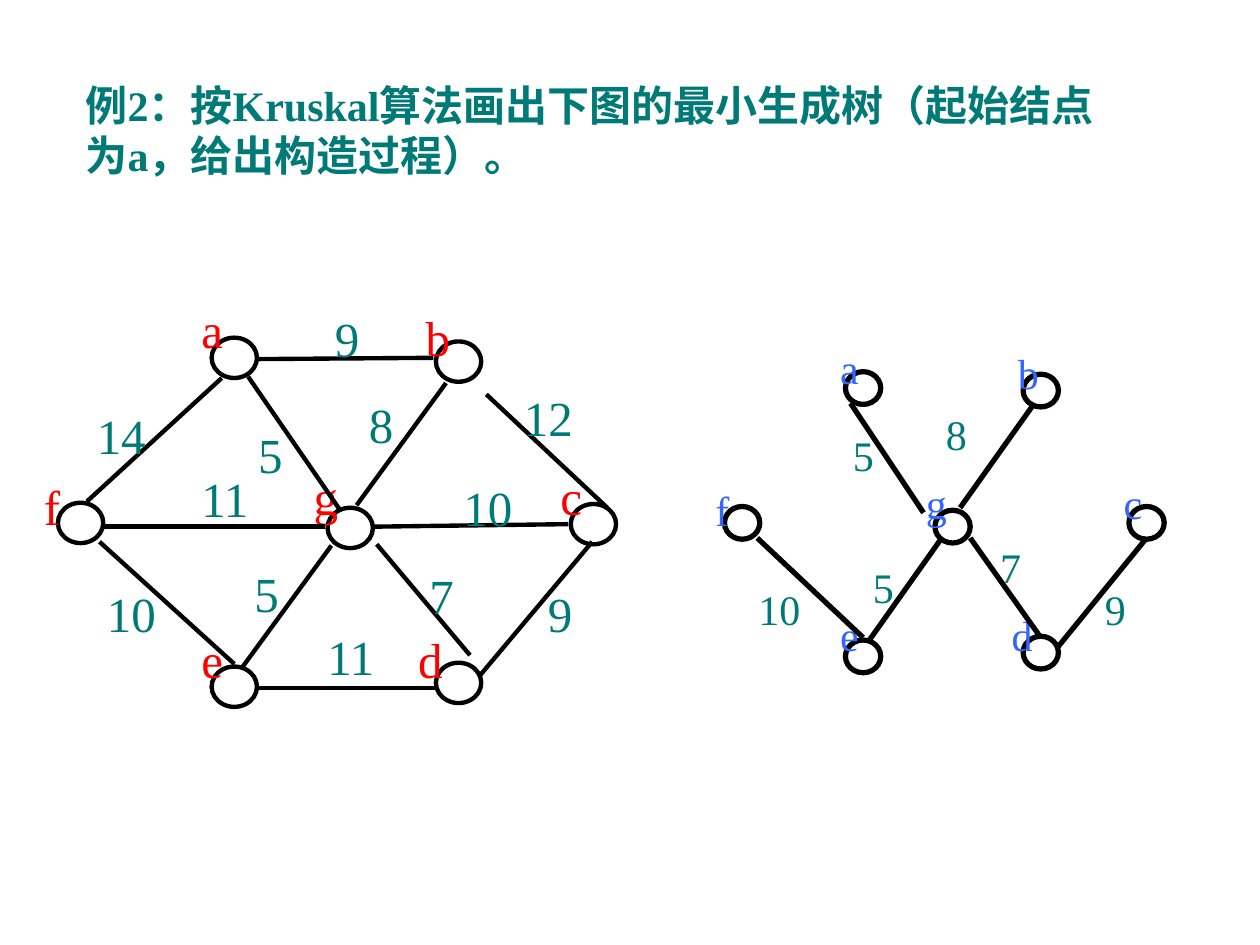
from dataclasses import dataclass

from lxml import etree
from pptx import Presentation
from pptx import util as u
from pptx.dml.color import RGBColor
from pptx.enum import shapes, text
from pptx.oxml.ns import qn


@dataclass(frozen=True)
class Theme:
    font: str = "Times New Roman"
    teal: str = "007A77"
    red: str = "FF0000"
    blue: str = "3366FF"
    black: str = "000000"
    white: str = "FFFFFF"
    question_size: int = 24
    graph_size: int = 28
    tree_size: int = 24


@dataclass(frozen=True)
class Node:
    name: str
    col: float
    row: float
    label_col: float
    label_row: float


@dataclass(frozen=True)
class Edge:
    start: tuple[float, float]
    end: tuple[float, float]
    weight: str
    label: tuple[float, float]


@dataclass(frozen=True)
class Graph:
    nodes: list[Node]
    edges: list[Edge]
    node_size: tuple[float, float]
    line_width: float
    text_size: int
    name_color: str


THEME = Theme()
COLUMNS, ROWS = 100, 75
LABEL_SIZE = (7, 5)

# Weighted graph: places are columns and rows of the slide grid
WEIGHTED_GRAPH = Graph(
    nodes=[
        Node("a", 16.8, 26.8, 15, 23.3),
        Node("b", 34.6, 27.1, 32.8, 23.9),
        Node("c", 45.3, 40, 43.5, 36.5),
        Node("d", 34.6, 52.6, 32.2, 49.5),
        Node("e", 16.8, 52.9, 15, 49.5),
        Node("f", 4.6, 39.9, 2.5, 37.3),
        Node("g", 26, 40.3, 23.9, 36.5),
    ],
    edges=[
        Edge((20.3, 28.5), (34.4, 28.4), "9", (25.6, 24)),
        Edge((38.6, 31.3), (48.2, 40.3), "12", (40.6, 30.3)),
        Edge((47, 43), (38.1, 53.6), "9", (42.5, 45.8)),
        Edge((20.4, 54.6), (34.6, 54.6), "11", (25, 49.2)),
        Edge((7.9, 43), (18.6, 52.7), "10", (7.5, 45.8)),
        Edge((17.6, 30), (6.9, 39.8), "14", (6.7, 31.7)),
        Edge((19.7, 29.9), (27, 40.5), "5", (19.5, 33.2)),
        Edge((35.4, 30.4), (28.3, 40.1), "8", (28.3, 30.8)),
        Edge((29.7, 41.8), (45.1, 41.6), "10", (35.8, 37.4)),
        Edge((29.9, 43.2), (37.3, 52), "7", (33.1, 44.4)),
        Edge((26.3, 43.3), (19.2, 53), "5", (19.2, 44.2)),
        Edge((8, 41.8), (25.8, 41.8), "11", (15, 36.7)),
    ],
    node_size=(3.6, 3.2),
    line_width=2.5,
    text_size=THEME.graph_size,
    name_color=THEME.red,
)

# Minimum spanning tree
SPANNING_TREE = Graph(
    nodes=[
        Node("a", 67.1, 29.5, 65.7, 26.7),
        Node("b", 81.2, 29.7, 79.8, 27.1),
        Node("c", 89.6, 40.2, 88.2, 37.4),
        Node("d", 81.2, 50.5, 79.3, 47.9),
        Node("e", 67.1, 50.8, 65.7, 47.9),
        Node("f", 57.5, 40.2, 55.8, 38),
        Node("g", 74.2, 40.5, 72.5, 37.4),
    ],
    edges=[
        Edge((67.5, 32), (73.3, 40.7), "5", (66.7, 33.6)),
        Edge((82.1, 32), (76.2, 40.3), "8", (74.1, 31.9)),
        Edge((77, 42.7), (82.6, 50.6), "7", (78.4, 42.5)),
        Edge((74.6, 42.9), (69, 50.8), "5", (68.3, 44.1)),
        Edge((60.1, 42.7), (68.5, 50.6), "10", (59.2, 45.8)),
        Edge((91, 42.7), (84, 51.3), "9", (86.7, 45.8)),
    ],
    node_size=(2.8, 2.6),
    line_width=3,
    text_size=THEME.tree_size,
    name_color=THEME.blue,
)

prs = Presentation()
prs.slide_width, prs.slide_height = u.Inches(10), u.Inches(7.5)


def grid(*lengths: float) -> list[int]:
    """Turn alternating columns and rows into slide lengths."""
    cells = (prs.slide_width / COLUMNS, prs.slide_height / ROWS)
    return [round(length * cells[i % 2]) for i, length in enumerate(lengths)]


def write(frame, words: str, *, size: int, color: str, bold: bool = False,
          align=text.PP_ALIGN.LEFT) -> None:
    frame.word_wrap = True
    frame.auto_size = text.MSO_AUTO_SIZE.NONE
    frame.vertical_anchor = text.MSO_ANCHOR.TOP
    paragraph = frame.paragraphs[0]
    paragraph.alignment = align
    paragraph.space_before = u.Pt(0)
    run = paragraph.add_run()
    run.text = words
    run.font.name, run.font.size, run.font.bold = THEME.font, u.Pt(size), bold
    run.font.color.rgb = RGBColor.from_string(color)


def add_label(slide, words: str, col: float, row: float, size: int, color: str) -> None:
    box = slide.shapes.add_textbox(*grid(col, row, *LABEL_SIZE))
    write(box.text_frame, words, size=size, color=color, align=text.PP_ALIGN.JUSTIFY)


def style_line(line, width: float) -> None:
    line.color.rgb = RGBColor.from_string(THEME.black)
    line.width = u.Pt(width)


def add_node(slide, node: Node, graph: Graph) -> None:
    circle = slide.shapes.add_shape(
        shapes.MSO_SHAPE.FLOWCHART_CONNECTOR, *grid(node.col, node.row, *graph.node_size))
    circle.shadow.inherit = False
    circle.fill.solid()
    circle.fill.fore_color.rgb = RGBColor.from_string(THEME.white)
    style_line(circle.line, graph.line_width)
    add_label(slide, node.name, node.label_col, node.label_row,
              graph.text_size, graph.name_color)


def add_edge(slide, edge: Edge, graph: Graph) -> None:
    link = slide.shapes.add_connector(
        shapes.MSO_CONNECTOR.STRAIGHT, *grid(*edge.start, *edge.end))
    style_line(link.line, graph.line_width)
    etree.SubElement(link._element.spPr, qn("a:effectLst"))


def draw_graph(slide, graph: Graph) -> None:
    for node in graph.nodes:
        add_node(slide, node, graph)
    for edge in graph.edges:
        add_edge(slide, edge, graph)
    for edge in graph.edges:
        add_label(slide, edge.weight, *edge.label, graph.text_size, THEME.teal)


def add_question(slide) -> None:
    question = slide.placeholders[1]
    question.left, question.top, question.width, question.height = grid(5.8, 5.8, 85, 12)
    properties = question.text_frame.paragraphs[0]._p.get_or_add_pPr()
    properties.set("marL", "0")
    properties.set("indent", "0")
    etree.SubElement(properties, qn("a:buNone"))
    write(question.text_frame,
          "例2：按Kruskal算法画出下图的最小生成树（起始结点为a，给出构造过程）。",
          size=THEME.question_size, color=THEME.teal, bold=True)


def main() -> None:
    slide = prs.slides.add_slide(prs.slide_layouts[1])
    empty_title = slide.shapes.title._element
    empty_title.getparent().remove(empty_title)
    add_question(slide)
    for graph in (WEIGHTED_GRAPH, SPANNING_TREE):
        draw_graph(slide, graph)
    prs.save("out.pptx")


if __name__ == "__main__":
    main()
